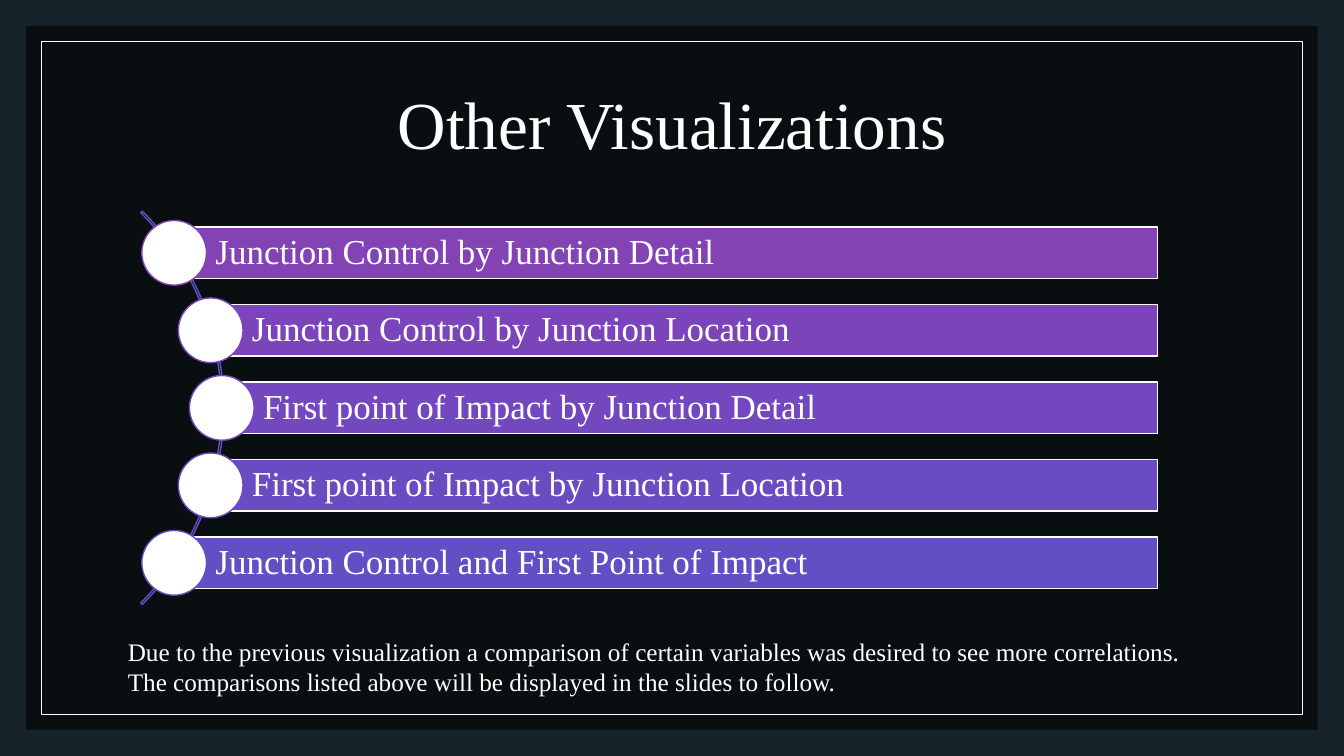
from math import sqrt

from lxml.etree import SubElement
from pptx import Presentation
from pptx.dml.color import RGBColor
from pptx.enum.shapes import MSO_SHAPE
from pptx.enum.text import MSO_ANCHOR, MSO_AUTO_SIZE, PP_ALIGN
from pptx.oxml.ns import qn
from pptx.util import Inches, Pt

COLUMNS, ROWS = 133.33, 75
CELL = Inches(0.1)
FONT = "Times New Roman"
COLORS = {
    "background": "17232A",
    "panel": "000000",
    "white": "FFFFFF",
    "arc": "624FC4",
}
TITLE = "Other Visualizations"
COMPARISONS = {
    "Junction Control by Junction Detail": "8443B4",
    "Junction Control by Junction Location": "7C44BA",
    "First point of Impact by Junction Detail": "7347BE",
    "First point of Impact by Junction Location": "6A4BC1",
    "Junction Control and First Point of Impact": "624FC4",
}
NOTE = (
    "Due to the previous visualization a comparison of certain variables was desired "
    "to see more correlations. The comparisons listed above will be displayed in the "
    "slides to follow."
)
ARC_CENTER = (-5.4, 40.46)
ARC_RADIUS = 27.6
DOT_TRACK_RADIUS = 27.4
BAR_PITCH, BAR_HEIGHT, BAR_RIGHT = 7.69, 5.14, 114.84
DOT_SIZE = 6.42


def cells(*counts):
    """Convert grid counts to lengths."""
    return [round(count * CELL) for count in counts]


def set_format(target, values):
    """Set every attribute of a format dict on the target."""
    for name, value in values.items():
        setattr(target, name, value)


def write_text(shape, text, size, frame_format, paragraph_format):
    """Write one white paragraph into a shape."""
    set_format(shape.text_frame, {"word_wrap": True, **frame_format})
    paragraph = shape.text_frame.paragraphs[0]
    set_format(paragraph, paragraph_format)
    run = paragraph.add_run()
    run.text = text
    set_format(run.font, {"name": FONT, "size": Pt(size)})
    run.font.color.rgb = RGBColor.from_string(COLORS["white"])


def add_figure(slide, kind, box, fill=None, line=None, width=1):
    """Add a preset shape with an optional fill and outline."""
    shape = slide.shapes.add_shape(kind, *cells(*box))
    shape.shadow.inherit = False
    if fill:
        shape.fill.solid()
        shape.fill.fore_color.rgb = RGBColor.from_string(fill)
    else:
        shape.fill.background()
    if line:
        shape.line.color.rgb = RGBColor.from_string(line)
        shape.line.width = Pt(width)
    else:
        shape.line.fill.background()
    return shape


def add_frame(slide):
    """Add the dark translucent panel and its thin inner border."""
    panel_box = (2.6, 2.6, COLUMNS - 5.2, ROWS - 5.2)
    panel = add_figure(slide, MSO_SHAPE.RECTANGLE, panel_box, COLORS["panel"])
    color = panel.element.spPr.find(qn("a:solidFill")).find(qn("a:srgbClr"))
    SubElement(color, qn("a:alpha")).set("val", "60000")
    border_box = (4.1, 4.1, COLUMNS - 8.2, ROWS - 8.2)
    add_figure(slide, MSO_SHAPE.RECTANGLE, border_box, line=COLORS["white"], width=0.5)


def add_title(slide):
    """Place the title placeholder above the frame."""
    title = slide.shapes.title
    left, top, width, height = cells(11.7, 7, 110, 11.3)
    set_format(title, {"left": left, "top": top, "width": width, "height": height})
    write_text(
        title, TITLE, 48,
        {"vertical_anchor": MSO_ANCHOR.MIDDLE, "auto_size": MSO_AUTO_SIZE.NONE},
        {"alignment": PP_ALIGN.CENTER, "line_spacing": 0.9},
    )
    title.element.getparent().append(title.element)


def add_arc(slide):
    """Add the thin arc that links the dots."""
    center_x, center_y = ARC_CENTER
    box = (center_x - ARC_RADIUS, center_y - ARC_RADIUS, 2 * ARC_RADIUS, 2 * ARC_RADIUS)
    arc = add_figure(slide, MSO_SHAPE.BLOCK_ARC, box, line=COLORS["arc"])
    for index, value in enumerate((189, 27, 0.004)):
        arc.adjustments[index] = value


def add_comparison(slide, offset, text, color):
    """Add a bar and its dot, placed on the arc by the row offset."""
    center_x, center_y = ARC_CENTER
    rise = offset * BAR_PITCH
    dot_x = center_x + sqrt(DOT_TRACK_RADIUS ** 2 - rise ** 2)
    dot_y = center_y + rise
    bar_box = (dot_x, dot_y - BAR_HEIGHT / 2, BAR_RIGHT - dot_x, BAR_HEIGHT)
    bar = add_figure(slide, MSO_SHAPE.RECTANGLE, bar_box, color, COLORS["white"])
    write_text(
        bar, text, 25,
        {
            "vertical_anchor": MSO_ANCHOR.MIDDLE,
            "margin_left": Inches(0.41),
            "margin_right": Inches(0.07),
            "margin_top": Inches(0.07),
            "margin_bottom": Inches(0.07),
        },
        {"alignment": PP_ALIGN.LEFT, "line_spacing": 0.9},
    )
    dot_box = (dot_x - DOT_SIZE / 2, dot_y - DOT_SIZE / 2, DOT_SIZE, DOT_SIZE)
    add_figure(slide, MSO_SHAPE.OVAL, dot_box, COLORS["white"], color)


def add_note(slide):
    """Add the explanatory text under the bars."""
    note = slide.shapes.add_textbox(*cells(11.7, 62.6, 110, 7.1))
    write_text(
        note, NOTE, 18,
        {"auto_size": MSO_AUTO_SIZE.SHAPE_TO_FIT_TEXT},
        {"alignment": PP_ALIGN.LEFT},
    )


def main():
    """Build and save the slide."""
    presentation = Presentation()
    width, height = cells(COLUMNS, ROWS)
    set_format(presentation, {"slide_width": width, "slide_height": height})
    slide = presentation.slides.add_slide(presentation.slide_layouts.get_by_name("Title Only"))
    slide.background.fill.solid()
    slide.background.fill.fore_color.rgb = RGBColor.from_string(COLORS["background"])
    add_frame(slide)
    add_title(slide)
    add_note(slide)
    add_arc(slide)
    middle = len(COMPARISONS) // 2
    for row, (text, color) in enumerate(COMPARISONS.items()):
        add_comparison(slide, row - middle, text, color)
    presentation.save("out.pptx")


if __name__ == "__main__":
    main()
